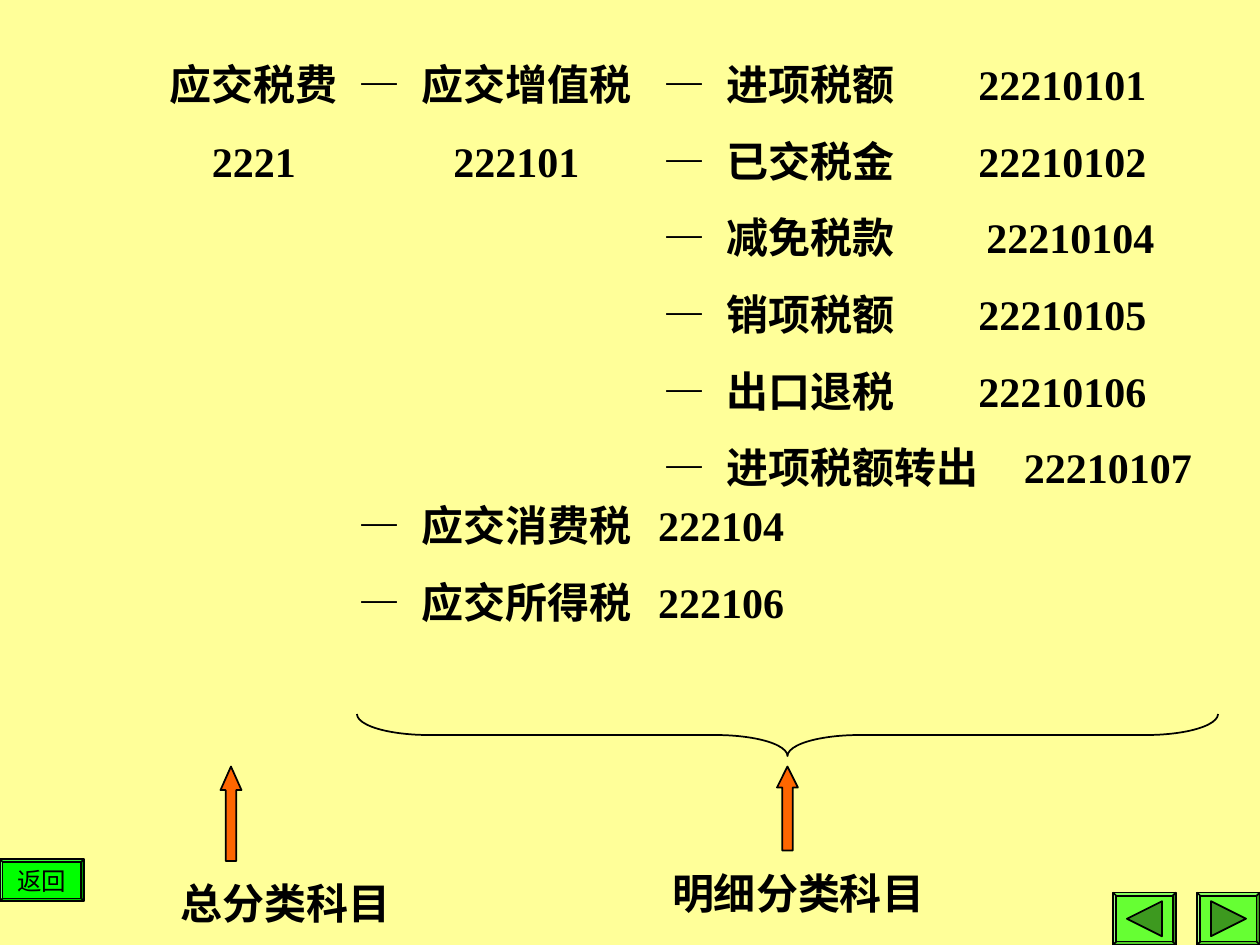
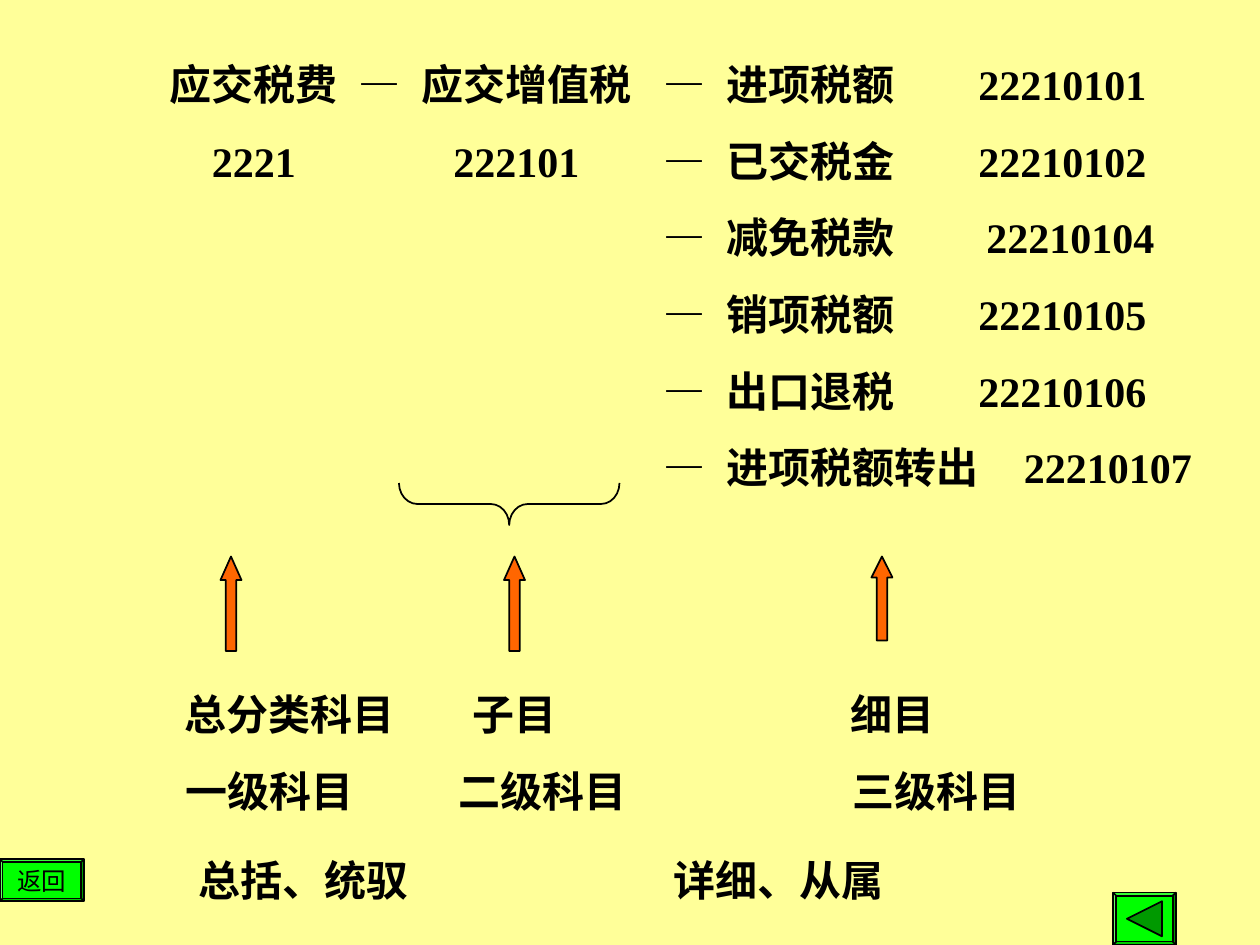
from dataclasses import dataclass

from lxml import etree
from pptx import Presentation
from pptx.dml.color import RGBColor
from pptx.enum import lang, shapes, text
from pptx.oxml import ns
from pptx.util import Pt


@dataclass(frozen=True)
class Theme:
    """Colours, type and line settings of the deck."""
    paper: str = "FFFF99"
    ink: str = "000000"
    arrow: str = "FF6600"
    green: str = "00FF00"
    green_dark: str = "009900"
    lime: str = "66FF33"
    lime_dark: str = "3D991F"
    font: str = "Times New Roman"
    body: int = 24
    small: int = 14
    gap: int = 15
    line: int = 1


THEME = Theme()
GEOM = shapes.MSO_SHAPE
NAME_TAB = 36
DETAIL_ACCOUNTS = [
    ("进项税额", "22210101", 180),
    ("已交税金", "22210102", 180),
    ("减免税款", "22210104", 184.5),
    ("销项税额", "22210105", 180),
    ("出口退税", "22210106", 180),
    ("进项税额转出", "22210107", 206),
]
OTHER_TAXES = [("应交消费税", "222104", 171), ("应交所得税", "222106", 171)]


def rgb(code):
    """Turn a hex code into a colour."""
    return RGBColor.from_string(code)


def set_font(p, size, bold):
    """Format a whole paragraph."""
    p.font.name = THEME.font
    p.font.size = Pt(size)
    p.font.bold = bold
    p.font.color.rgb = rgb(THEME.ink)
    p.font.language_id = lang.MSO_LANGUAGE_ID.SIMPLIFIED_CHINESE


def set_tabs(p, stops):
    """Give a paragraph left tab stops, in points."""
    tabs = etree.SubElement(p._p.get_or_add_pPr(), ns.qn("a:tabLst"))
    for stop in stops:
        etree.SubElement(tabs, ns.qn("a:tab"), pos=str(int(Pt(stop))), algn="l")


def add_lines(slide, x, y, w, h, lines, align=text.PP_ALIGN.LEFT):
    """Add a text box from (text, tab stops) lines."""
    sp = slide.shapes.add_textbox(Pt(x), Pt(y), Pt(w), Pt(h))
    tf = sp.text_frame
    tf.word_wrap = True
    tf.auto_size = text.MSO_AUTO_SIZE.SHAPE_TO_FIT_TEXT
    for i, (line, stops) in enumerate(lines):
        p = tf.add_paragraph() if i else tf.paragraphs[0]
        p.text = line
        if stops:
            set_tabs(p, stops)
        if i:
            p.space_before = Pt(THEME.gap)
        p.alignment = align
        set_font(p, THEME.body, True)


def add_label(slide, x, y, w, label):
    """Add a centred one-line label."""
    add_lines(slide, x, y, w, 36, [(label, ())], text.PP_ALIGN.CENTER)


def add_accounts(slide, x, y, w, h, accounts):
    """Add dashed account rows with their codes."""
    lines = [(f"—\t{name}\t{code}", (NAME_TAB, stop)) for name, code, stop in accounts]
    add_lines(slide, x, y, w, h, lines)


def add_outlined(slide, geom, x, y, w, h, fill=None):
    """Add a thinly outlined preset shape."""
    sp = slide.shapes.add_shape(geom, Pt(x), Pt(y), Pt(w), Pt(h))
    sp.shadow.inherit = False
    if fill:
        sp.fill.solid()
        sp.fill.fore_color.rgb = rgb(fill)
    else:
        sp.fill.background()
    sp.line.color.rgb = rgb(THEME.ink)
    sp.line.width = Pt(THEME.line)
    return sp


def add_arrow(slide, x, y, h):
    """Add an upward arrow whose head is a quarter of its height."""
    w = 12
    sp = add_outlined(slide, GEOM.UP_ARROW, x, y, w, h, THEME.arrow)
    sp.adjustments[0] = 0.5
    sp.adjustments[1] = h / 4 / w


def add_brace(slide, x, y, length):
    """Add a horizontal brace that points down."""
    depth = 24
    shift = (length - depth) / 2
    sp = add_outlined(slide, GEOM.LEFT_BRACE, x + shift, y - shift, depth, length)
    sp.rotation = 270
    sp.adjustments[0] = length / 12 / depth


def add_button(slide, x, y, w, h, fill):
    """Add a bevelled button."""
    sp = add_outlined(slide, GEOM.BEVEL, x, y, w, h, fill)
    sp.adjustments[0] = 0.0625
    return sp


def add_return_button(slide):
    """Add the return button at the lower left."""
    tf = add_button(slide, 0, 491, 48, 24, THEME.green).text_frame
    tf.word_wrap = False
    tf.vertical_anchor = text.MSO_ANCHOR.MIDDLE
    tf.margin_top = tf.margin_bottom = 0
    p = tf.paragraphs[0]
    p.text = "返回"
    p.alignment = text.PP_ALIGN.CENTER
    set_font(p, THEME.small, False)


def add_page_button(slide, x, turn, fill, dark):
    """Add a page button with a triangle turned left or right."""
    y, w, h, side = 510, 36, 30, 20
    add_button(slide, x, y, w, h, fill)
    sp = add_outlined(slide, GEOM.ISOSCELES_TRIANGLE, x + (w - side) / 2,
                      y + (h - side) / 2, side, side, dark)
    sp.rotation = turn


def add_ledger_slide(prs):
    """Add a slide with the account columns that both slides share."""
    slide = prs.slides.add_slide(prs.slide_layouts[6])
    add_lines(slide, 90, 30, 144, 80, [("应交税费", ()), ("\t2221", (24,))])
    add_lines(slide, 198, 30, 204, 80,
              [("—\t应交增值税", (NAME_TAB,)), ("\t222101", (54,))])
    add_accounts(slide, 372, 30, 348, 255, DETAIL_ACCOUNTS)
    add_return_button(slide)
    return slide


def build_two_levels(prs):
    """Build the slide on general and detailed accounts."""
    slide = add_ledger_slide(prs)
    add_accounts(slide, 198, 282, 330, 80, OTHER_TAXES)
    add_brace(slide, 204, 408, 492)
    add_arrow(slide, 126, 438, 54)
    add_arrow(slide, 444, 438, 48)
    add_lines(slide, 96, 498, 144, 36, [("总分类科目", ())])
    add_label(slide, 372, 492, 168, "明细分类科目")
    add_page_button(slide, 636, 270, THEME.lime, THEME.lime_dark)
    add_page_button(slide, 684, 90, THEME.lime, THEME.lime_dark)


def build_three_levels(prs):
    """Build the slide on the three account levels."""
    slide = add_ledger_slide(prs)
    add_brace(slide, 228, 276, 126)
    for x, h in [(126, 54), (288, 54), (498, 48)]:
        add_arrow(slide, x, 318, h)
    label_rows = [
        (390, [(96, 139, "总分类科目"), (240, 108, "子目"), (444, 132, "细目")]),
        (434, [(88, 132, "一级科目"), (235, 150, "二级科目"), (433, 204, "三级科目")]),
        (485, [(94, 159, "总括、统驭"), (326, 238, "详细、从属")]),
    ]
    for y, labels in label_rows:
        for x, w, label in labels:
            add_label(slide, x, y, w, label)
    add_page_button(slide, 636, 270, THEME.green, THEME.green_dark)


def main():
    """Build and save the deck."""
    prs = Presentation()
    prs.slide_width, prs.slide_height = Pt(720), Pt(540)
    fill = prs.slide_master.background.fill
    fill.solid()
    fill.fore_color.rgb = rgb(THEME.paper)
    build_two_levels(prs)
    build_three_levels(prs)
    prs.save("out.pptx")


if __name__ == "__main__":
    main()
